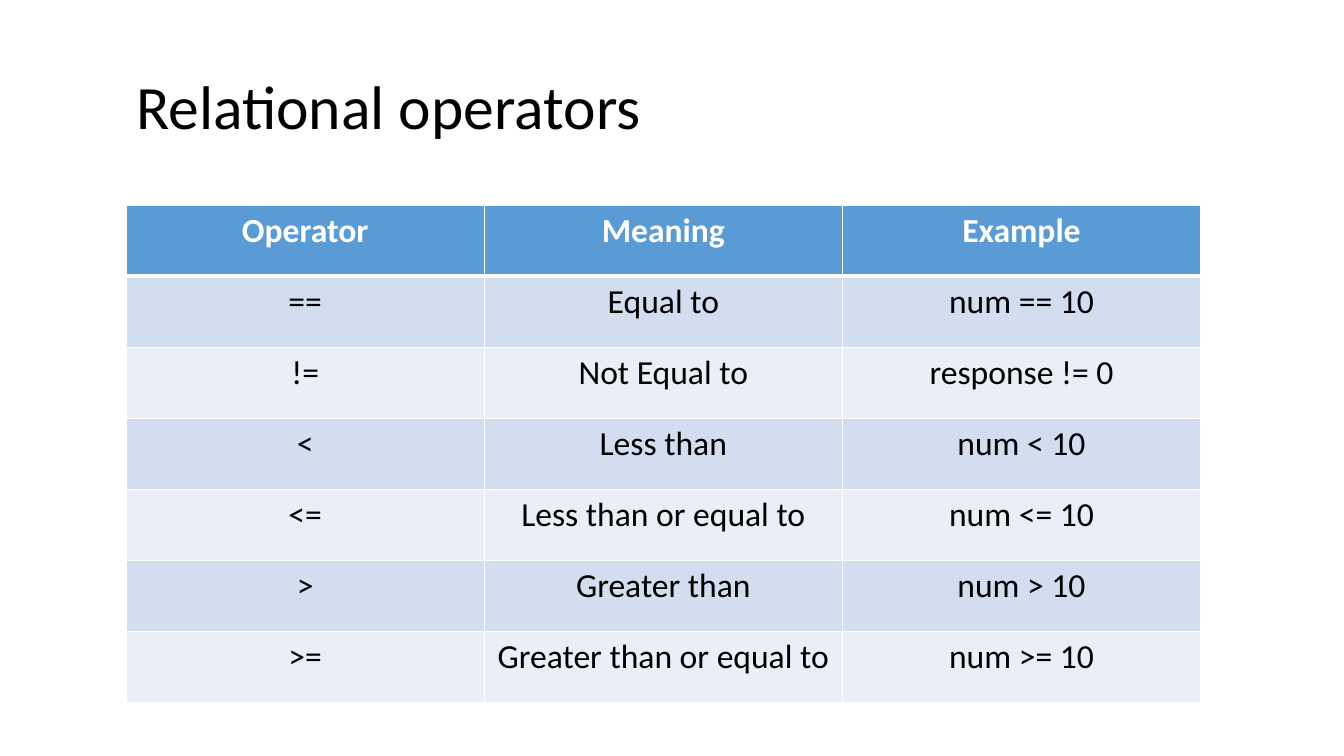
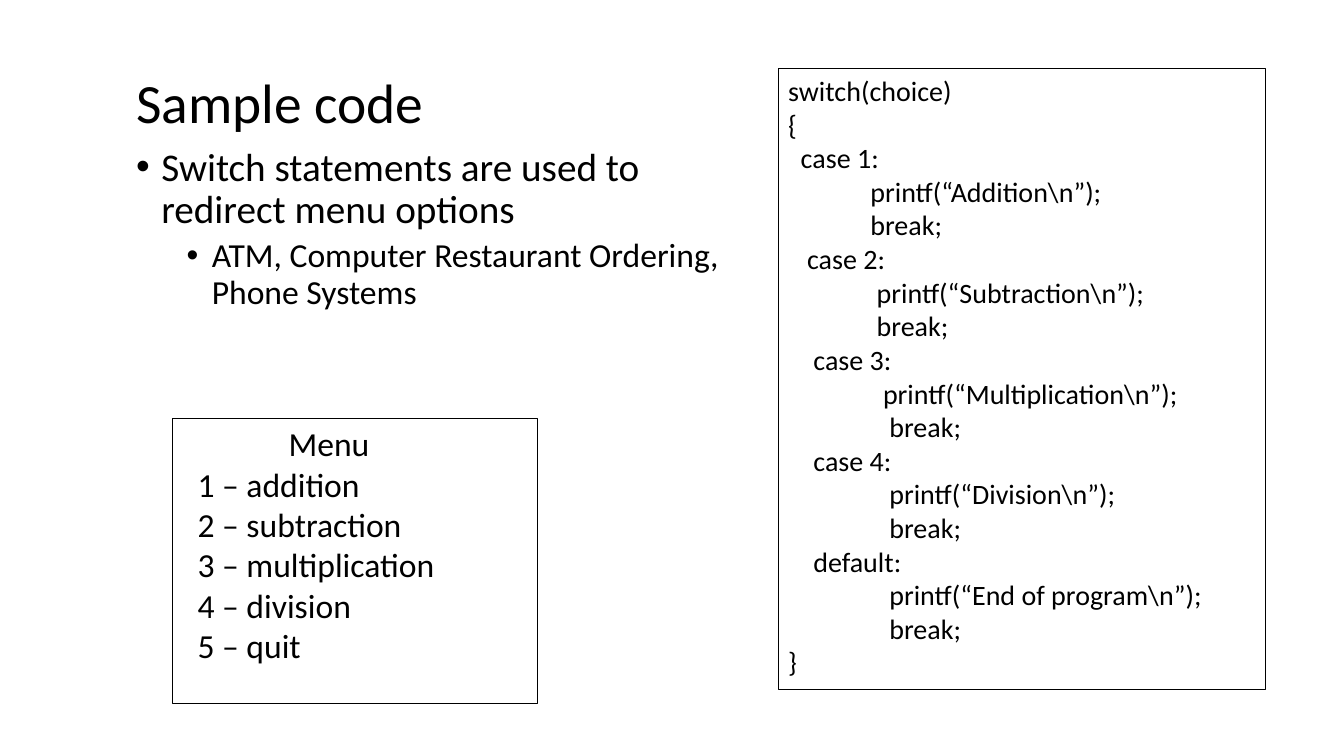
from lxml.etree import SubElement
from pptx import Presentation
from pptx.dml.color import RGBColor
from pptx.enum.shapes import MSO_SHAPE
from pptx.enum.text import MSO_ANCHOR, MSO_AUTO_SIZE, PP_ALIGN
from pptx.oxml.ns import qn
from pptx.util import Inches, Pt

WIDTH, HEIGHT = Inches(13.333), Inches(7.5)
LEFT, TOP = 9.38, 9.07
TITLE_WIDTH = 81.23
SPACE_WIDTH = 0.226
FONT = "Calibri"
COLORS = {
    "text": "000000",
    "light": "FFFFFF",
    "header": "5B9BD5",
    "odd": "D2DEEF",
    "even": "EAEFF7",
}
TITLE_ONLY, TITLE_AND_BODY = 5, 1

OPERATORS = [
    ("Operator", "Meaning", "Example"),
    ("==", "Equal to", "num == 10"),
    ("!=", "Not Equal to", "response != 0"),
    ("<", "Less than", "num < 10"),
    ("<=", "Less than or equal to", "num <= 10"),
    (">", "Greater than", "num > 10"),
    (">=", "Greater than or equal to", "num >= 10"),
]
BULLETS = [
    (0, "Switch statements are used to redirect menu options"),
    (1, "ATM, Computer Restaurant Ordering, Phone Systems"),
]
BULLET_LEVELS = [
    {"size": 28, "indent": 0.25, "before": 10},
    {"size": 24, "indent": 0.75, "before": 5},
]
HANGING = 0.25
MENU = [
    (14, "Menu"),
    (2, "1 – addition"),
    (2, "2 – subtraction"),
    (2, "3 – multiplication"),
    (2, "4 – division"),
    (2, "5 – quit"),
]
CODE = [
    (0, "switch(choice)"),
    (0, "{"),
    (2, "case 1:"),
    (13, "printf(“Addition\\n”);"),
    (13, "break;"),
    (3, "case 2:"),
    (14, "printf(“Subtraction\\n”);"),
    (14, "break;"),
    (4, "case 3:"),
    (15, "printf(“Multiplication\\n”);"),
    (16, "break;"),
    (4, "case 4:"),
    (16, "printf(“Division\\n”);"),
    (16, "break;"),
    (4, "default:"),
    (16, "printf(“End of program\\n”);"),
    (16, "break;"),
    (0, "}"),
]


def color(name):
    return RGBColor.from_string(COLORS[name])


def area(left, top, width, height):
    return [
        int(share * length / 100)
        for share, length in zip((left, top, width, height), (WIDTH, HEIGHT) * 2)
    ]


def apply(target, formats):
    for name, value in formats.items():
        setattr(target, name, value)


def move(shape, frame):
    apply(shape, dict(zip(("left", "top", "width", "height"), frame)))


def write(para, text, size, ink="text", bold=False, **formats):
    apply(para, formats)
    span = para.add_run()
    span.text = text
    apply(span.font, {"name": FONT, "size": Pt(size), "bold": bold})
    span.font.color.rgb = color(ink)


def set_frame(shape, anchor):
    apply(shape.text_frame, {
        "word_wrap": True,
        "auto_size": MSO_AUTO_SIZE.NONE,
        "vertical_anchor": anchor,
    })


def indent(para, left, first=0):
    properties = para._p.get_or_add_pPr()
    properties.set("marL", str(Inches(left)))
    properties.set("indent", str(Inches(first)))
    return properties


def paragraphs(shape, lines):
    frame = shape.text_frame
    for index, (level, text) in enumerate(lines):
        yield (frame.add_paragraph() if index else frame.paragraphs[0]), level, text


def add_page(deck, layout, title, size, height):
    page = deck.slides.add_slide(deck.slide_layouts[layout])
    box = page.shapes.title
    move(box, area(LEFT, TOP, TITLE_WIDTH, height))
    set_frame(box, MSO_ANCHOR.MIDDLE)
    write(box.text_frame.paragraphs[0], title, size,
          alignment=PP_ALIGN.LEFT, line_spacing=0.9)
    return page


def fill_body(box, frame, bullets):
    move(box, frame)
    set_frame(box, MSO_ANCHOR.TOP)
    for para, level, text in paragraphs(box, bullets):
        style = BULLET_LEVELS[level]
        write(para, text, style["size"], level=level, line_spacing=0.9,
              space_before=Pt(style["before"]))
        properties = indent(para, style["indent"], -HANGING)
        SubElement(properties, qn("a:buFont"), typeface="Arial")
        SubElement(properties, qn("a:buChar"), char="•")


def add_listing(page, frame, lines, size):
    box = page.shapes.add_shape(MSO_SHAPE.RECTANGLE, *frame)
    box.shadow.inherit = False
    box.fill.background()
    box.line.color.rgb = color("text")
    box.line.width = Pt(0.75)
    set_frame(box, MSO_ANCHOR.TOP)
    for para, spaces, text in paragraphs(box, lines):
        write(para, text, size, alignment=PP_ALIGN.LEFT)
        indent(para, spaces * SPACE_WIDTH * size / 72)


def set_borders(cell, widths):
    properties = cell._tc.get_or_add_tcPr()
    for side, width in widths.items():
        line = SubElement(properties, qn(f"a:ln{side}"), w=str(Pt(width)))
        fill = SubElement(line, qn("a:solidFill"))
        SubElement(fill, qn("a:srgbClr"), val=COLORS["light"])


def add_grid(page, frame, rows):
    table = page.shapes.add_table(len(rows), len(rows[0]), *frame).table
    for row, texts in enumerate(rows):
        header = row == 0
        band = "header" if header else "odd" if row % 2 else "even"
        borders = {"L": 1, "R": 1, "T": 3 if row == 1 else 1, "B": 3 if header else 1}
        for column, text in enumerate(texts):
            cell = table.cell(row, column)
            set_borders(cell, borders)
            cell.fill.solid()
            cell.fill.fore_color.rgb = color(band)
            write(cell.text_frame.paragraphs[0], text, 24,
                  ink="light" if header else "text", bold=header,
                  alignment=PP_ALIGN.CENTER)


def main():
    deck = Presentation()
    apply(deck, {"slide_width": WIDTH, "slide_height": HEIGHT})

    page = add_page(deck, TITLE_ONLY, "Relational operators", 44, 10.8)
    add_grid(page, area(LEFT, 27.13, 79.95, 65.87), OPERATORS)

    page = add_page(deck, TITLE_AND_BODY, "Sample code", 39.6, 9.73)
    fill_body(page.placeholders[1], area(LEFT, 18.8, 47.78, 26.8), BULLETS)
    add_listing(page, area(12.83, 55.33, 27.15, 37.73), MENU, 24)
    add_listing(page, area(57.9, TOP, 36.3, 82.13), CODE, 20)

    deck.save("out.pptx")


if __name__ == "__main__":
    main()
